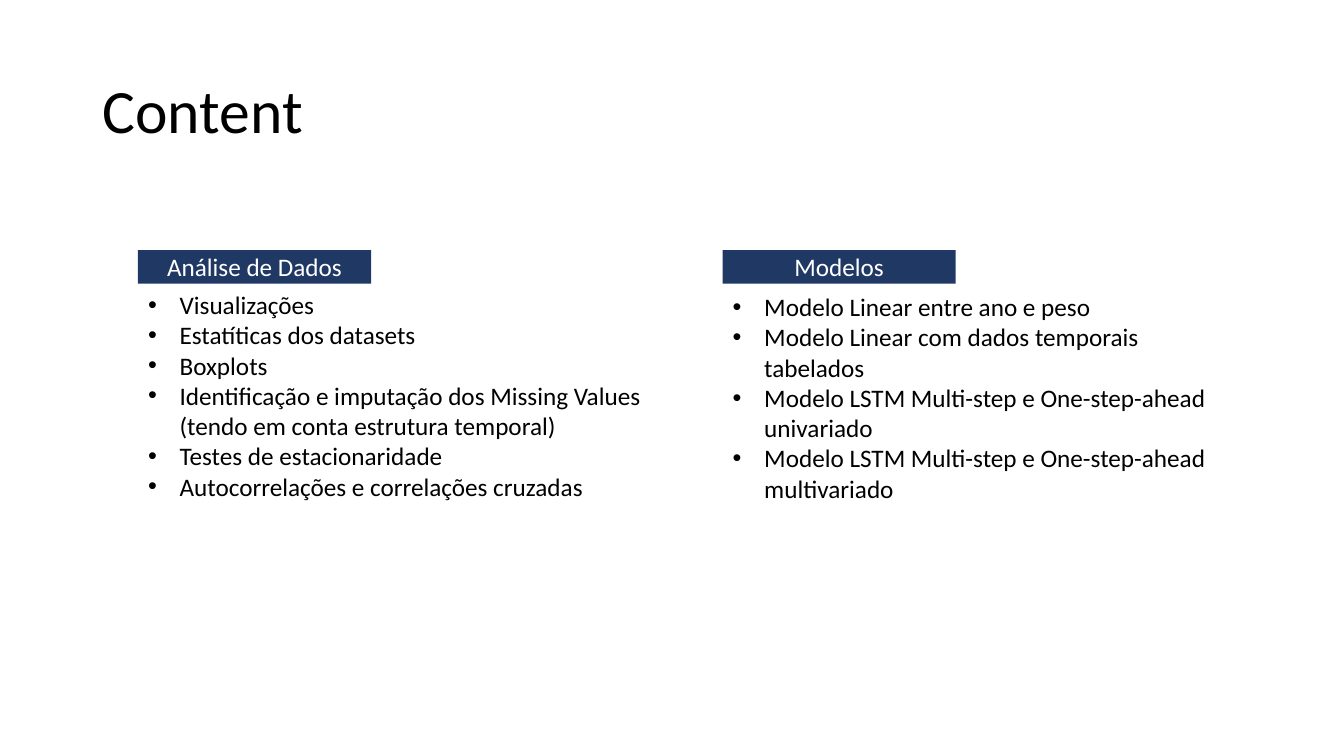
from pptx import Presentation
from pptx import util as u
from pptx.dml import color
from pptx.enum import shapes, text
from pptx.oxml import xmlchemy
from lxml import etree

Pt = u.Pt
COLORS = {"navy": "203864", "white": "FFFFFF", "black": "000000"}
FONT = "Calibri"
BULLET_INDENT = 22.5
HEADING_WIDTH, HEADING_HEIGHT = 166.5, 24
TWO_CONTENT_LAYOUT = 3

TOPICS = [
    ("Análise de Dados", 24.5, [
        "Visualizações",
        "Estatíticas dos datasets",
        "Boxplots",
        "Identificação e imputação dos Missing Values (tendo em conta estrutura temporal)",
        "Testes de estacionaridade",
        "Autocorrelações e correlações cruzadas",
    ]),
    ("Modelos", 26, [
        "Modelo Linear entre ano e peso",
        "Modelo Linear com dados temporais tabelados",
        "Modelo LSTM Multi-step e One-step-ahead univariado",
        "Modelo LSTM Multi-step e One-step-ahead multivariado",
    ]),
]


def rgb(name):
    return color.RGBColor.from_string(COLORS[name])


def place(part, left, top, width, height):
    part.left, part.top = Pt(left), Pt(top)
    part.width, part.height = Pt(width), Pt(height)


def add_bullet(paragraph):
    properties = paragraph._p.get_or_add_pPr()
    properties.set("marL", str(Pt(BULLET_INDENT)))
    properties.set("indent", str(-Pt(BULLET_INDENT)))
    for tag, key, value in (("a:buFont", "typeface", "Arial"), ("a:buChar", "char", "•")):
        etree.SubElement(properties, xmlchemy.qn(tag)).set(key, value)


def write(part, lines, size=18, ink="black", align=text.PP_ALIGN.LEFT,
          anchor=text.MSO_ANCHOR.TOP, spacing=1.0, bulleted=False):
    frame = part.text_frame
    frame.word_wrap = True
    frame.vertical_anchor = anchor
    frame.text = "\n".join(lines)
    for paragraph in frame.paragraphs:
        paragraph.alignment = align
        paragraph.line_spacing = spacing
        paragraph.space_before = Pt(0)
        font = paragraph.runs[0].font
        font.name, font.size, font.color.rgb = FONT, Pt(size), rgb(ink)
        if bulleted:
            add_bullet(paragraph)


def title_region(slide, left, top, width, height):
    title = slide.shapes.title
    place(title, left, top, width, height)
    write(title, ["Content"], size=44, anchor=text.MSO_ANCHOR.MIDDLE, spacing=0.9)


def topic_column(slide, body, topic, left, top, width, height):
    """Place a heading bar with its bulleted list below it."""
    name, list_offset, points = topic
    heading = slide.shapes.add_shape(
        shapes.MSO_SHAPE.RECTANGLE,
        Pt(left), Pt(top), Pt(HEADING_WIDTH), Pt(HEADING_HEIGHT))
    heading.shadow.inherit = False
    heading.fill.solid()
    heading.fill.fore_color.rgb = rgb("navy")
    heading.line.fill.background()
    write(heading, [name], ink="white", align=text.PP_ALIGN.CENTER,
          anchor=text.MSO_ANCHOR.MIDDLE)

    place(body, left, top + list_offset, width, height - list_offset)
    write(body, points, bulleted=True)
    body.text_frame.auto_size = text.MSO_AUTO_SIZE.SHAPE_TO_FIT_TEXT


def content_slide(deck):
    slide = deck.slides.add_slide(deck.slide_layouts[TWO_CONTENT_LAYOUT])
    title_region(slide, 66, 28.75, 828, 104.5)
    bodies = [slide.placeholders[1], slide.placeholders[2]]
    columns = zip(bodies, TOPICS, (98.6, 516.2), (206, 186))
    for body, topic, left, height in columns:
        topic_column(slide, body, topic, left, 178.6, 378.7, height)


def main():
    deck = Presentation()
    deck.slide_width, deck.slide_height = Pt(960), Pt(540)
    content_slide(deck)
    deck.save("out.pptx")


if __name__ == "__main__":
    main()
